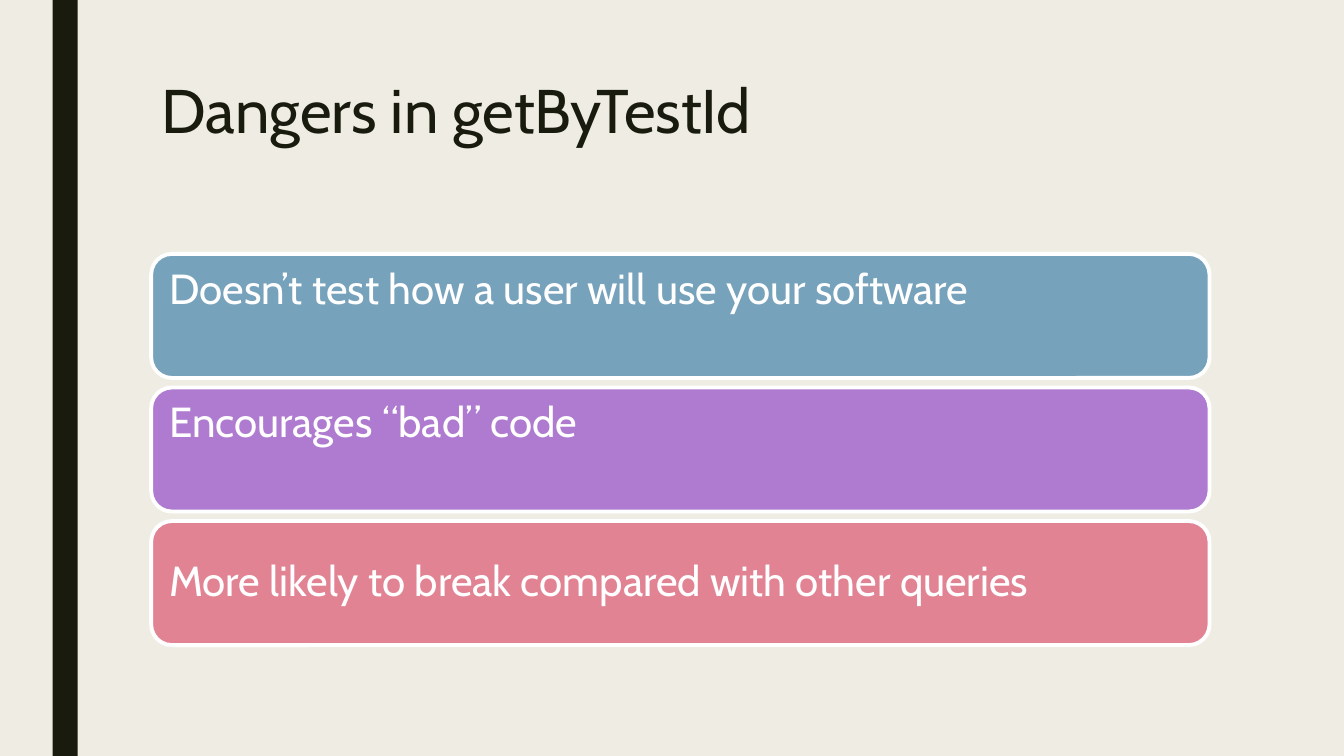
from pptx import Presentation
from pptx.dml.color import RGBColor
from pptx.enum.shapes import MSO_SHAPE as Shape
from pptx.enum.text import MSO_ANCHOR as Anchor, MSO_AUTO_SIZE as Fit, PP_ALIGN as Align
from pptx.util import Pt

CREAM = RGBColor(0xEF, 0xED, 0xE3)
DARK = RGBColor(0x19, 0x1B, 0x0E)
WHITE = RGBColor(0xFF, 0xFF, 0xFF)
BLUE = RGBColor(0x77, 0xA2, 0xBB)
PURPLE = RGBColor(0xAE, 0x7B, 0xD0)
ROSE = RGBColor(0xE2, 0x83, 0x94)

LEFT, WIDTH = 108, 756
TOP, HEIGHT, STEP = 181.4, 88.6, 95.4
INSET = Pt(8.64)

DANGERS = [
    ("Doesn’t test how a user will use your software", BLUE, Anchor.TOP),
    ("Encourages “bad” code", PURPLE, Anchor.TOP),
    ("More likely to break compared with other queries", ROSE, Anchor.MIDDLE),
]


def apply(target, values):
    for name, value in values.items():
        setattr(target, name, value)


def write(shape, text, size, color, spacing, frame):
    body = shape.text_frame
    body.text = text
    apply(body, {"word_wrap": True, "auto_size": Fit.NONE, **frame})
    line = body.paragraphs[0]
    apply(line, {"alignment": Align.LEFT, "line_spacing": spacing})
    font = line.runs[0].font
    apply(font, {"name": "Cabin", "size": Pt(size)})
    font.color.rgb = color


def add_box(slide, kind, box, fill):
    shape = slide.shapes.add_shape(kind, *map(Pt, box))
    shape.shadow.inherit = False
    shape.fill.solid()
    shape.fill.fore_color.rgb = fill
    shape.line.fill.background()
    return shape


def add_title(slide, text):
    title = slide.shapes.title
    apply(title, {"left": Pt(LEFT), "top": Pt(54), "width": Pt(WIDTH), "height": Pt(116.6)})
    write(title, text, 44, DARK, 0.89, {"vertical_anchor": Anchor.TOP})


def add_card(slide, row, text, fill, anchor):
    card = add_box(slide, Shape.ROUNDED_RECTANGLE,
                   (LEFT, TOP + row * STEP, WIDTH, HEIGHT), fill)
    card.line.color.rgb = WHITE
    card.line.width = Pt(2.75)
    top = Pt(5.8) if anchor == Anchor.TOP else INSET
    write(card, text, 30, WHITE, 0.9, {
        "vertical_anchor": anchor, "margin_left": INSET, "margin_right": INSET,
        "margin_top": top, "margin_bottom": INSET})


def main():
    deck = Presentation()
    apply(deck, {"slide_width": Pt(960), "slide_height": Pt(540)})
    slide = deck.slides.add_slide(deck.slide_layouts[5])
    back = slide.background.fill
    back.solid()
    back.fore_color.rgb = CREAM
    add_box(slide, Shape.RECTANGLE, (37.5, 0, 18, 540), DARK)
    add_title(slide, "Dangers in getByTestId")
    for row, danger in enumerate(DANGERS):
        add_card(slide, row, *danger)
    deck.save("out.pptx")


if __name__ == "__main__":
    main()
